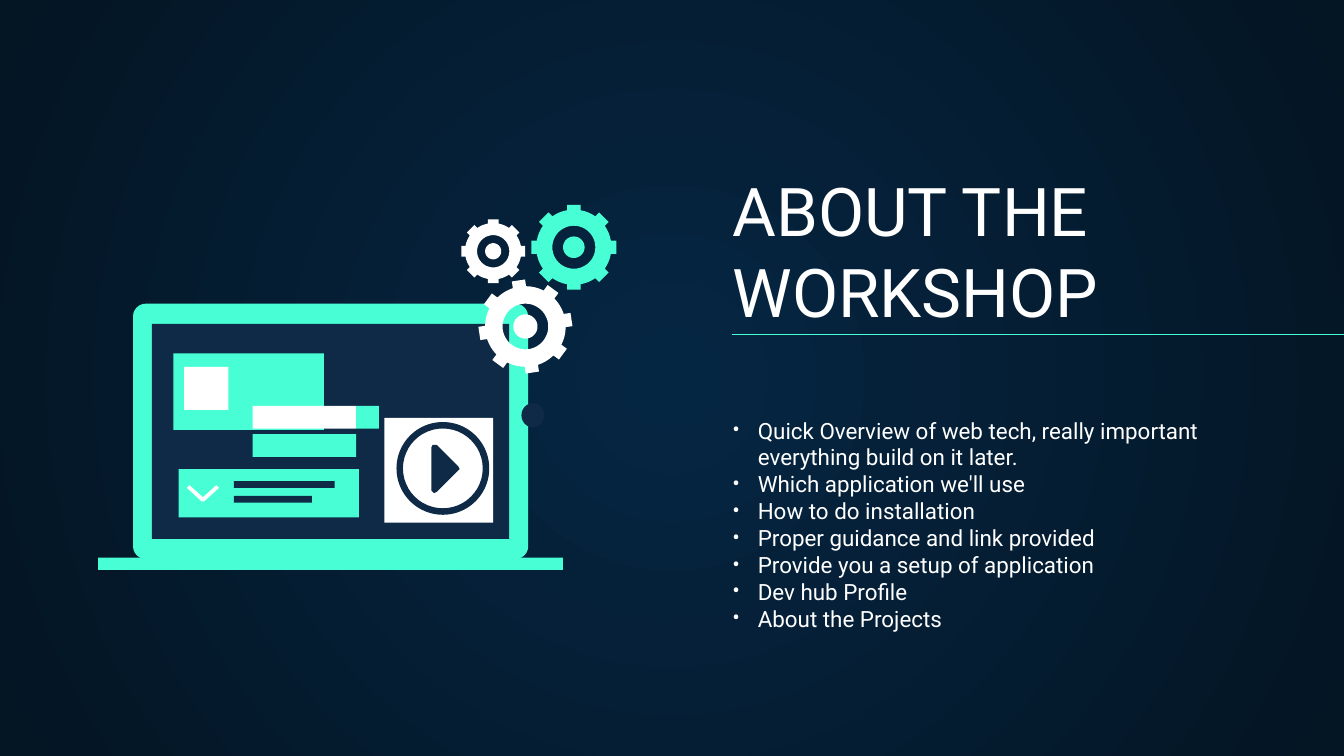
from math import cos, pi, sin

from lxml import etree
from pptx import Presentation
from pptx.dml.color import RGBColor
from pptx.enum.shapes import MSO_CONNECTOR, MSO_SHAPE
from pptx.enum.text import MSO_ANCHOR, MSO_AUTO_SIZE, PP_ALIGN
from pptx.oxml.ns import qn
from pptx.util import Inches, Pt

MINT = RGBColor(0x48, 0xFF, 0xD5)
NAVY = RGBColor(0x0E, 0x2A, 0x47)
WHITE = RGBColor(0xFF, 0xFF, 0xFF)
CENTRE = RGBColor(0x05, 0x26, 0x43)
EDGE = RGBColor(0x04, 0x15, 0x23)

RECT, ROUND = MSO_SHAPE.RECTANGLE, MSO_SHAPE.ROUNDED_RECTANGLE
OVAL, DONUT = MSO_SHAPE.OVAL, MSO_SHAPE.DONUT
STRAIGHT = MSO_CONNECTOR.STRAIGHT
TOP, BOTTOM = MSO_ANCHOR.TOP, MSO_ANCHOR.BOTTOM
LEFT = PP_ALIGN.LEFT
NO_FIT = MSO_AUTO_SIZE.NONE

TOPICS = [
    "Quick Overview of web tech, really important everything build on it later.",
    "Which application we'll use",
    "How to do installation",
    "Proper guidance and link provided",
    "Provide you a setup of application",
    "Dev hub Profile",
    "About the Projects",
]


def polar(cx, cy, radius, angle):
    """Point at an angle measured clockwise from the top."""
    return cx + radius * sin(angle), cy - radius * cos(angle)


def circle(cx, cy, radius, steps=48):
    return [polar(cx, cy, radius, 2 * pi * i / steps) for i in range(steps)]


def gear_rim(cx, cy, outer, body, half_tooth, tilt, teeth=8, arc_steps=4):
    points = []
    pitch = 2 * pi / teeth
    base, tip = half_tooth / body, half_tooth / outer
    for i in range(teeth):
        mid = tilt + i * pitch
        points += [polar(cx, cy, body, mid - base), polar(cx, cy, outer, mid - tip),
                   polar(cx, cy, outer, mid + tip)]
        gap = pitch - 2 * base
        points += [polar(cx, cy, body, mid + base + gap * j / arc_steps)
                   for j in range(arc_steps)]
    return points


class Deck:
    font = {"name": "Roboto"}

    def __init__(self, slide):
        self.s = slide

    def background(self, inner, outer):
        fill = self.s.background.fill
        fill.gradient()
        for stop, color in zip(fill.gradient_stops, (inner, outer)):
            stop.color.rgb = color
        grad = self.s._element.find(".//" + qn("a:gradFill"))
        grad.remove(grad.find(qn("a:lin")))
        radial = etree.SubElement(grad, qn("a:path"), {"path": "circle"})
        etree.SubElement(radial, qn("a:fillToRect"), dict.fromkeys("ltrb", "50000"))

    def text(self, shape, box, lines, size, anchor, bullet=None):
        shape.left, shape.top, shape.width, shape.height = map(Inches, box)
        tf = shape.text_frame
        margin = Inches(0.1)
        frame = {"word_wrap": True, "auto_size": NO_FIT, "vertical_anchor": anchor,
                 "margin_left": margin, "margin_right": margin,
                 "margin_top": margin, "margin_bottom": margin}
        for name, value in frame.items():
            setattr(tf, name, value)
        for i, line in enumerate(lines):
            p = tf.paragraphs[0] if i == 0 else tf.add_paragraph()
            p.alignment = LEFT
            r = p.add_run()
            r.text = line
            for name, value in {**self.font, "size": Pt(size)}.items():
                setattr(r.font, name, value)
            r.font.color.rgb = WHITE
            if bullet:
                self.bullet(p, bullet)

    def bullet(self, p, char):
        pPr = p._p.get_or_add_pPr()
        pPr.set("marL", str(Inches(0.19)))
        pPr.set("indent", str(-Inches(0.19)))
        color = etree.SubElement(pPr, qn("a:buClr"))
        etree.SubElement(color, qn("a:srgbClr"), val=str(WHITE))
        etree.SubElement(pPr, qn("a:buFont"), typeface=self.font["name"])
        etree.SubElement(pPr, qn("a:buChar"), char=char)

    def paint(self, shape, color):
        shape.shadow.inherit = False
        shape.fill.solid()
        shape.fill.fore_color.rgb = color
        shape.line.fill.background()
        return shape

    def shape(self, kind, box, color, adjust=None):
        sp = self.paint(self.s.shapes.add_shape(kind, *map(Inches, box)), color)
        if adjust is not None:
            sp.adjustments[0] = adjust
        return sp

    def outline(self, contours, color):
        """Filled outline; contours inside others cut holes."""
        paths = [[(Inches(x), Inches(y)) for x, y in c] for c in contours]
        builder = self.s.shapes.build_freeform(*paths[0][0])
        builder.add_line_segments(paths[0][1:])
        for points in paths[1:]:
            builder.move_to(*points[0])
            builder.add_line_segments(points[1:])
        return self.paint(builder.convert_to_shape(), color)

    def gear(self, cx, cy, outer, body, half_tooth, hole, hub, color, tilt=0):
        self.outline([gear_rim(cx, cy, outer, body, half_tooth, tilt),
                      circle(cx, cy, hole)[::-1], circle(cx, cy, hub)], color)

    def line(self, start, end, color, width):
        c = self.s.shapes.add_connector(STRAIGHT, *map(Inches, start + end))
        c.line.color.rgb = color
        c.line.width = Pt(width)
        etree.SubElement(c._element.spPr, qn("a:effectLst"))


def main():
    prs = Presentation()
    prs.slide_width = Inches(10)
    prs.slide_height = prs.slide_width * 9 // 16
    s = prs.slides.add_slide(prs.slide_layouts[5])
    deck = Deck(s)
    deck.background(CENTRE, EDGE)

    deck.text(s.shapes.title, (5.35, 1.9, 3.86, 0.66), ["ABOUT THE WORKSHOP"], 36, BOTTOM)
    topics = s.shapes.add_textbox(0, 0, 0, 0)
    deck.text(topics, (5.35, 3, 3.78, 1.89), TOPICS, 12, TOP, "•")
    deck.line((5.45, 2.49), (10, 2.49), MINT, 0.75)

    # Laptop
    deck.shape(ROUND, (0.99, 2.26, 2.94, 1.9), MINT, 0.05)
    deck.shape(RECT, (1.13, 2.41, 2.66, 1.6), NAVY)
    deck.shape(RECT, (0.73, 4.15, 3.46, 0.09), MINT)

    # Screen content
    for box, color in [
        ((1.29, 2.63, 1.12, 0.57), MINT),
        ((1.37, 2.73, 0.33, 0.32), WHITE),
        ((1.33, 3.49, 1.34, 0.36), MINT),
        ((1.74, 3.58, 0.75, 0.05), NAVY),
        ((1.74, 3.69, 0.58, 0.05), NAVY),
        ((1.88, 3.23, 0.77, 0.17), MINT),
        ((1.88, 3.02, 0.77, 0.17), WHITE),
        ((2.65, 3.02, 0.17, 0.17), MINT),
        ((2.86, 3.11, 0.81, 0.78), WHITE),
    ]:
        deck.shape(RECT, box, color)
    deck.outline([[(1.39, 3.63), (1.41, 3.61), (1.51, 3.7), (1.61, 3.61), (1.63, 3.63),
                   (1.52, 3.73), (1.5, 3.73)]], WHITE)

    # Play button
    deck.shape(DONUT, (2.95, 3.14, 0.69, 0.69), NAVY, 0.07)
    deck.outline([[(3.21, 3.33), (3.22, 3.31), (3.25, 3.31), (3.41, 3.47), (3.42, 3.49),
                   (3.41, 3.5), (3.25, 3.66), (3.23, 3.67), (3.21, 3.65)]], NAVY)
    deck.shape(OVAL, (3.88, 3, 0.17, 0.18), NAVY)

    # Gears
    deck.gear(4.27, 1.84, 0.32, 0.28, 0.05, 0.16, 0.08, MINT)
    deck.gear(3.67, 1.87, 0.24, 0.21, 0.04, 0.12, 0.06, WHITE)
    deck.gear(3.91, 2.43, 0.35, 0.3, 0.05, 0.17, 0.09, WHITE, tilt=-0.15)

    prs.save("out.pptx")


if __name__ == "__main__":
    main()
